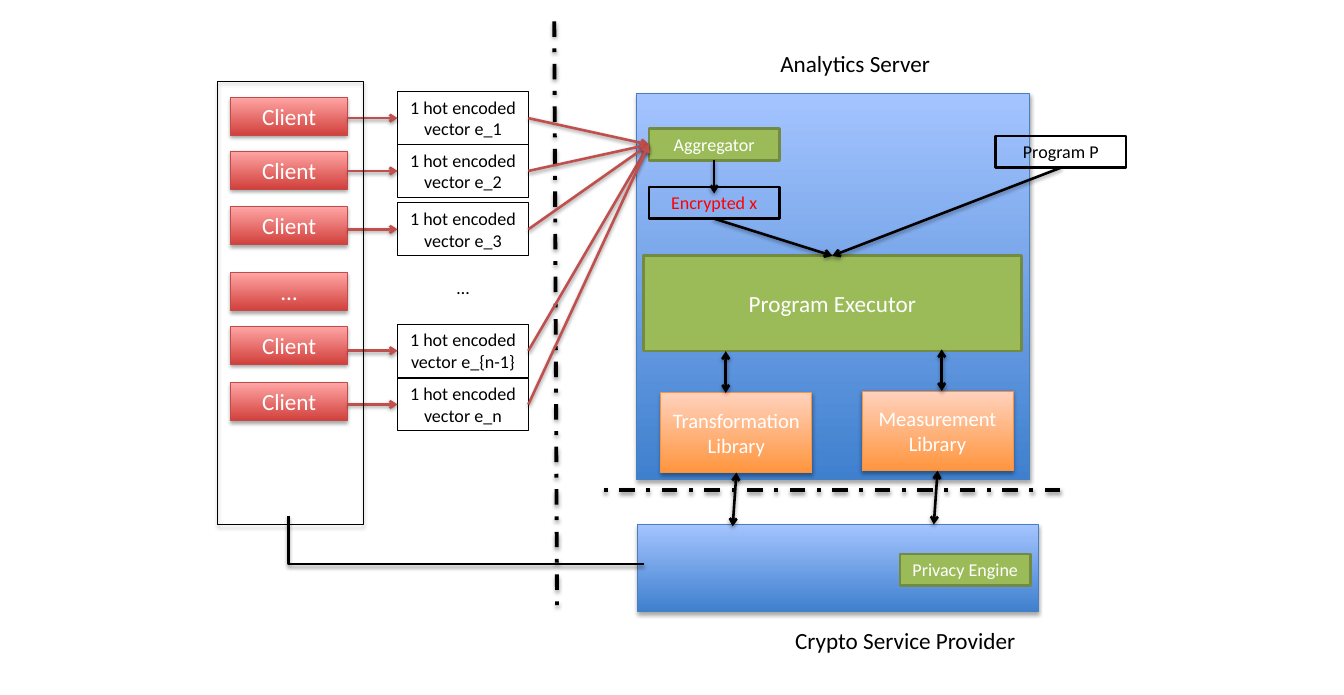
from dataclasses import dataclass

from lxml import etree
from pptx import Presentation
from pptx.dml.color import RGBColor
from pptx.enum.dml import MSO_LINE
from pptx.enum.shapes import MSO_CONNECTOR, MSO_SHAPE
from pptx.enum.text import MSO_ANCHOR, PP_ALIGN
from pptx.oxml.ns import qn
from pptx.util import Inches, Pt

RECTANGLE = MSO_SHAPE.RECTANGLE
STRAIGHT, ELBOW = MSO_CONNECTOR.STRAIGHT, MSO_CONNECTOR.ELBOW
DASH_DOT = MSO_LINE.DASH_DOT
TOP, MIDDLE = MSO_ANCHOR.TOP, MSO_ANCHOR.MIDDLE
CENTER = PP_ALIGN.CENTER
SLIDE_WIDTH, SLIDE_HEIGHT = Inches(14.5), Inches(7.5)
COLUMNS, ROWS = 145, 75


@dataclass(frozen=True)
class Theme:
    """Colours, type sizes and line widths of the slide."""
    font: str = "Calibri"
    black: str = "000000"
    white: str = "FFFFFF"
    accent: str = "FF0000"
    arrow_red: str = "C0504D"
    heading: int = 18
    library: int = 16
    small: int = 14
    thin: float = 0.75
    medium: float = 2
    thick: float = 3


THEME = Theme()
OUTLINE = {"fill": (), "line": THEME.black, "width": THEME.thin, "shadow": False,
           "anchor": TOP, "size": THEME.small, "color": THEME.black}
PLAIN = {**OUTLINE, "line": None}
BOLD_OUTLINE = {**OUTLINE, "width": THEME.medium}
ENCRYPTED = {**BOLD_OUTLINE, "color": THEME.accent}
FRAME = {**OUTLINE, "shadow": True}
ENGINE = {**BOLD_OUTLINE, "fill": ("9BBB59",), "line": "738A42", "color": THEME.white}
EXECUTOR = {**ENGINE, "anchor": MIDDLE, "size": THEME.heading}
CLIENT = {**FRAME, "fill": ("D1403C", "FFA6A5"), "line": "BF4C48", "anchor": MIDDLE,
          "size": THEME.heading, "color": THEME.white}
PANEL = {**CLIENT, "fill": ("3F80CE", "A4C4FF"), "line": "4B7EBC"}
LIBRARY = {**CLIENT, "fill": ("FF953E", "FFD2BD"), "line": "F69240", "size": THEME.library}


@dataclass(frozen=True)
class Box:
    """A region given in grid columns and rows."""
    left: float
    top: float
    width: float
    height: float

    def inner(self, left, top, width, height):
        """Return a box placed relative to this one."""
        return Box(self.left + left, self.top + top, width, height)

    def point(self, across, down):
        """Return the point at a share of the width and height."""
        return self.left + across * self.width, self.top + down * self.height

    def lengths(self):
        """Return the four lengths in slide units."""
        return [*grid(self.left, self.top), *grid(self.width, self.height)]


def grid(column, row):
    """Turn a column and a row into slide units."""
    return round(column * SLIDE_WIDTH / COLUMNS), round(row * SLIDE_HEIGHT / ROWS)


def set_shadow(shape, opacity, distance):
    """Replace the inherited shadow, leaving none at zero opacity."""
    effects = etree.SubElement(shape.element.spPr, qn("a:effectLst"))
    if opacity:
        outer = etree.SubElement(effects, qn("a:outerShdw"), blurRad=str(Pt(3.1)),
                                 dist=str(Pt(distance)), dir="5400000", rotWithShape="0")
        color = etree.SubElement(outer, qn("a:srgbClr"), val=THEME.black)
        etree.SubElement(color, qn("a:alpha"), val=str(opacity * 1000))


def set_fill(fill, colors):
    """Apply no fill, one colour or a rising gradient."""
    if not colors:
        fill.background()
    elif len(colors) == 1:
        fill.solid()
        fill.fore_color.rgb = RGBColor.from_string(colors[0])
    else:
        fill.gradient()
        fill.gradient_angle = 90
        for position, (stop, color) in enumerate(zip(fill.gradient_stops, colors)):
            stop.position = position
            stop.color.rgb = RGBColor.from_string(color)


def write(shape, text, size, color, **frame_values):
    """Write one formatted paragraph into a shape."""
    frame = shape.text_frame
    for name, value in frame_values.items():
        setattr(frame, name, value)
    paragraph = frame.paragraphs[0]
    paragraph.text = text
    for name, value in {"name": THEME.font, "size": Pt(size)}.items():
        setattr(paragraph.font, name, value)
    paragraph.font.color.rgb = RGBColor.from_string(color)
    return paragraph


def add_block(slide, box, style, text=""):
    """Add a styled rectangle and return its box."""
    shape = slide.shapes.add_shape(RECTANGLE, *box.lengths())
    set_fill(shape.fill, style["fill"])
    if style["line"]:
        shape.line.color.rgb = RGBColor.from_string(style["line"])
        shape.line.width = Pt(style["width"])
    else:
        shape.line.fill.background()
    set_shadow(shape, 35 if style["shadow"] else 0, 1.8)
    if text:
        paragraph = write(shape, text, style["size"], style["color"],
                          word_wrap=True, vertical_anchor=style["anchor"])
        paragraph.alignment = CENTER
    return box


def add_heading(slide, box, text):
    """Add an unwrapped region heading."""
    shape = slide.shapes.add_textbox(*box.lengths())
    write(shape, text, THEME.heading, THEME.black, word_wrap=False)


def add_line(slide, start, end, color=THEME.black, ends=("tailEnd",), kind=STRAIGHT):
    """Add a connector with arrowheads at the named ends."""
    line = slide.shapes.add_connector(kind, *grid(*start), *grid(*end))
    line.line.color.rgb = RGBColor.from_string(color)
    line.line.width = Pt(THEME.medium)
    for name in ends:
        etree.SubElement(line.line._get_or_add_ln(), qn(f"a:{name}"), type="arrow")
    set_shadow(line, 38, 1.6)
    return line


def add_divider(slide, start, end):
    """Add a thick dash-dot trust boundary."""
    line = add_line(slide, start, end, ends=()).line
    for name, value in {"width": Pt(THEME.thick), "dash_style": DASH_DOT}.items():
        setattr(line, name, value)


def add_clients(slide, box):
    """Draw the clients and return the boxes of their vectors."""
    rows = [("1", 1.7, 1.1), ("2", 7.5, 6.8), ("3", 13.5, 13.1), ("", 20.6, 20.5),
            ("{n-1}", 26.4, 26.2), ("n", 32.5, 32)]
    vectors = []
    for index, client_top, vector_top in rows:
        client = box.inner(1.4, client_top, 12.6, 4.1)
        add_block(slide, client, CLIENT, "Client" if index else "…")
        vector = box.inner(19.4, vector_top, 14.1, 5.7 if index else 3.4)
        if index:
            add_block(slide, vector, OUTLINE, f"1 hot encoded vector e_{index}")
            column, row = vector.point(0, 0.5)
            add_line(slide, (client.point(1, 0)[0], row), (column, row), THEME.arrow_red)
            vectors.append(vector)
        else:
            add_block(slide, vector, PLAIN, "…")
    add_block(slide, box, FRAME)
    return vectors


def add_server(slide, box, vectors):
    """Draw the analytics server with its flow and return the library boxes."""
    add_block(slide, box, PANEL)
    add_heading(slide, box.inner(14.5, -5.3, 18.3, 4), "Analytics Server")
    aggregator = add_block(slide, box.inner(1.3, 3.8, 14.1, 3.4), ENGINE, "Aggregator")
    for vector in vectors:
        add_line(slide, vector.point(1, 0.5), aggregator.point(0, 0.5), THEME.arrow_red)
    encrypted = add_block(slide, box.inner(1.3, 10.1, 14.1, 3.4), ENCRYPTED, "Encrypted x")
    add_line(slide, aggregator.point(0.5, 1), encrypted.point(0.5, 0.2))
    executor = add_block(slide, box.inner(0.7, 17.5, 40.8, 10.3), EXECUTOR, "Program Executor")
    program = add_block(slide, box.inner(38.7, 4.6, 14.1, 3.4), BOLD_OUTLINE, "Program P")
    for source in (encrypted, program):
        add_line(slide, source.point(0.5, 1), executor.point(0.5, 0))
    libraries = []
    for name, left, top, column in (("Transformation", 2.6, 32.3, 78.3),
                                    ("Measurement", 24.3, 32.1, 101.6)):
        library = add_block(slide, box.inner(left, top, 16.3, 8.6), LIBRARY, f"{name} Library")
        add_line(slide, (column, library.top - 4.5), (column, library.top),
                 ends=("headEnd", "tailEnd"))
        libraries.append(library)
    return libraries


def add_provider(slide, box, libraries):
    """Draw the crypto service provider and its links."""
    add_block(slide, box, PANEL)
    add_heading(slide, box.inner(16, 10.5, 26.1, 4), "Crypto Service Provider")
    add_block(slide, box.inner(28.3, 3.2, 14.1, 3.4), ENGINE, "Privacy Engine")
    for library in libraries:
        column, row = library.point(0.5, 1)
        add_line(slide, (column - 0.4 + 0.4, row), (column - 0.4, row + 5.8),
                 ends=("headEnd", "tailEnd"))
    elbow = add_line(slide, (box.left - 15.9, box.top - 17.5), (box.left - 21.1, box.top + 20.8),
                     ends=(), kind=ELBOW)
    properties = elbow.element.spPr
    properties.find(qn("a:prstGeom")).set("prst", "bentConnector2")
    properties.find(qn("a:xfrm")).set("rot", "16200000")


def main():
    """Build and save the system diagram."""
    presentation = Presentation()
    for name, value in {"slide_width": SLIDE_WIDTH, "slide_height": SLIDE_HEIGHT}.items():
        setattr(presentation, name, value)
    slide = presentation.slides.add_slide(presentation.slide_layouts[6])
    vectors = add_clients(slide, Box(23.5, 8.8, 15.7, 47.8))
    add_divider(slide, (59.8, 2.3), (60.1, 66))
    libraries = add_server(slide, Box(68.7, 10.1, 42.4, 41.7), vectors)
    add_provider(slide, Box(68.8, 56.6, 43.2, 9.4), libraries)
    add_divider(slide, (114.4, 52.9), (64, 52.9))
    presentation.save("out.pptx")


if __name__ == "__main__":
    main()
